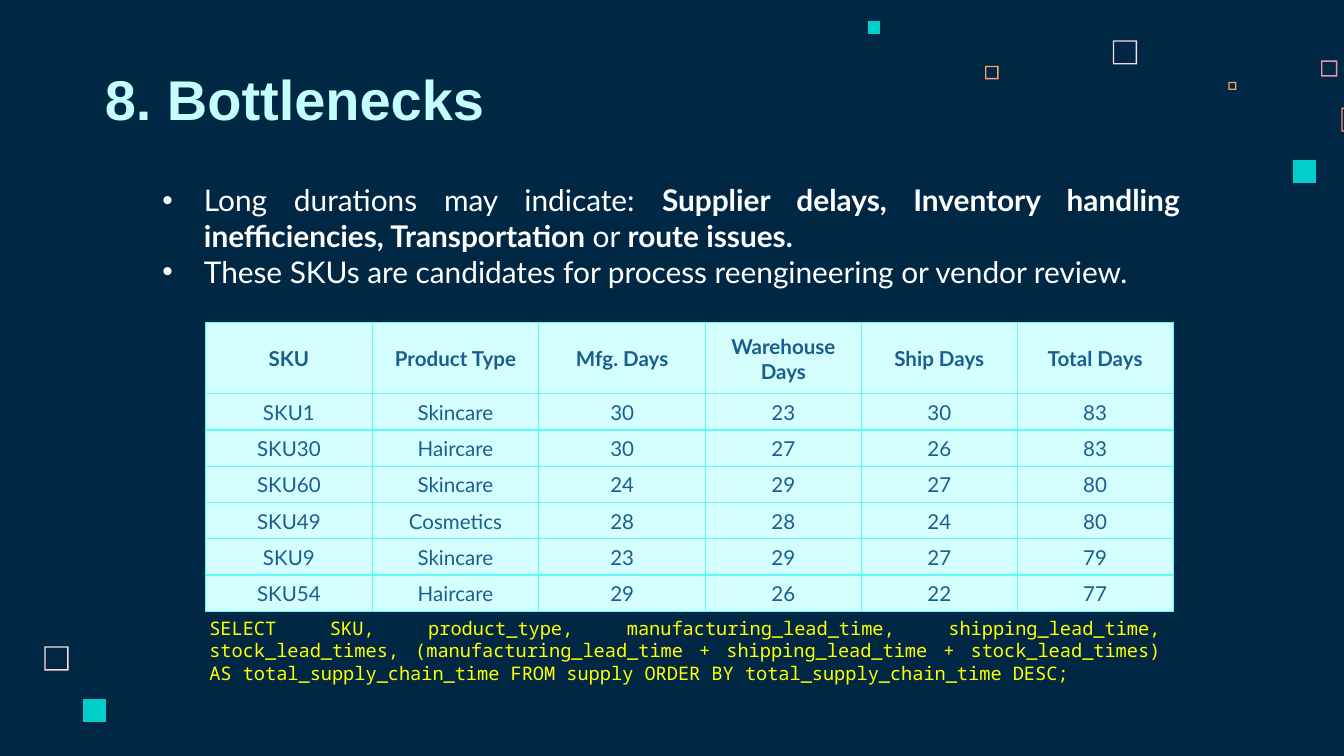
from lxml import etree
from pptx import Presentation
from pptx import util as u
from pptx.dml.color import RGBColor
from pptx.enum import text
from pptx.oxml import ns

COLORS = {
    "background": "002845", "title": "C2FFFE", "body": "FFFFFF", "code": "FFFF00",
    "cell": "D5FFFE", "cell_text": "1A5E8F", "border": "58FDFB",
    "pink": "FFD6E1", "rose": "E898AC", "orange": "FF9973", "teal": "00CFCC",
}


def color(name):
    return RGBColor.from_string(COLORS[name])


def element(parent, tag, **attributes):
    return etree.SubElement(parent, ns.qn(tag), **attributes)


class Deck:
    body_font = "Lato"
    title_font = "Arial"
    code_font = "Noto Sans Mono"

    def __init__(self, width, height):
        self.prs = Presentation()
        self.prs.slide_width = u.Inches(width)
        self.prs.slide_height = u.Inches(height)
        self.slide = self.prs.slides.add_slide(self.prs.slide_layouts[5])
        fill = self.slide.background.fill
        fill.solid()
        fill.fore_color.rgb = color("background")

    def run(self, paragraph, words, font, size, tint, bold=False):
        run = paragraph.add_run()
        run.text = words
        run.font.name = font
        run.font.size = u.Pt(size)
        run.font.bold = bold
        run.font.color.rgb = color(tint)

    def square(self, left, top, side, tint, border=0):
        right, bottom = left + side, top + side
        outline = self.slide.shapes.build_freeform(u.Inches(left), u.Inches(top))
        corners = [(right, top), (right, bottom), (left, bottom)]
        outline.add_line_segments([(u.Inches(x), u.Inches(y)) for x, y in corners])
        if border:
            near_x, near_y = left + border, top + border
            far_x, far_y = right - border, bottom - border
            outline.move_to(u.Inches(near_x), u.Inches(near_y))
            corners = [(near_x, far_y), (far_x, far_y), (far_x, near_y)]
            outline.add_line_segments([(u.Inches(x), u.Inches(y)) for x, y in corners])
        shape = outline.convert_to_shape()
        shape.shadow.inherit = False
        shape.fill.solid()
        shape.fill.fore_color.rgb = color(tint)
        shape.line.fill.background()

    def title(self, words, left, top, width, height):
        heading = self.slide.shapes.title
        heading.left, heading.top = u.Inches(left), u.Inches(top)
        heading.width, heading.height = u.Inches(width), u.Inches(height)
        frame = heading.text_frame
        frame.auto_size = text.MSO_AUTO_SIZE.NONE
        frame.vertical_anchor = text.MSO_ANCHOR.BOTTOM
        frame.margin_left = frame.margin_right = u.Inches(0.1)
        frame.margin_top = frame.margin_bottom = u.Inches(0.1)
        paragraph = frame.paragraphs[0]
        paragraph.alignment = text.PP_ALIGN.LEFT
        self.run(paragraph, words, self.title_font, 30, "title", True)

    def text_box(self, left, top, width, height, anchor):
        box = self.slide.shapes.add_textbox(
            u.Inches(left), u.Inches(top), u.Inches(width), u.Inches(height))
        frame = box.text_frame
        frame.word_wrap = True
        frame.auto_size = text.MSO_AUTO_SIZE.SHAPE_TO_FIT_TEXT
        frame.vertical_anchor = anchor
        return frame

    def bullets(self, points, left, top, width, height):
        frame = self.text_box(left, top, width, height, text.MSO_ANCHOR.MIDDLE)
        for index, pieces in enumerate(points):
            paragraph = frame.add_paragraph() if index else frame.paragraphs[0]
            paragraph.alignment = text.PP_ALIGN.JUSTIFY
            properties = paragraph._p.get_or_add_pPr()
            indent = u.Inches(0.31)
            properties.set("marL", str(indent))
            properties.set("indent", str(-indent))
            tint = element(properties, "a:buClr")
            element(tint, "a:srgbClr", val=COLORS["body"])
            element(properties, "a:buFont", typeface="Arial")
            element(properties, "a:buChar", char="•")
            for words, bold in pieces:
                self.run(paragraph, words, self.body_font, 16, "body", bold)

    def code(self, words, left, top, width, height):
        frame = self.text_box(left, top, width, height, text.MSO_ANCHOR.TOP)
        paragraph = frame.paragraphs[0]
        paragraph.alignment = text.PP_ALIGN.JUSTIFY
        self.run(paragraph, words, self.code_font, 10, "code")

    def cell(self, cell, words, bold):
        cell.vertical_anchor = text.MSO_ANCHOR.MIDDLE
        cell.margin_left = cell.margin_right = cell.margin_top = u.Inches(0.01)
        cell.margin_bottom = 0
        paragraph = cell.text_frame.paragraphs[0]
        paragraph.alignment = text.PP_ALIGN.CENTER
        self.run(paragraph, words, self.body_font, 11, "cell_text", bold)
        properties = cell._tc.get_or_add_tcPr()
        for side in ("a:lnL", "a:lnR", "a:lnT", "a:lnB"):
            border = element(properties, side, w=str(u.Pt(0.75)))
            fill = element(border, "a:solidFill")
            element(fill, "a:srgbClr", val=COLORS["border"])
        cell.fill.solid()
        cell.fill.fore_color.rgb = color("cell")

    def table(self, records, left, top, widths, heights):
        table = self.slide.shapes.add_table(
            len(records), len(widths), u.Inches(left), u.Inches(top),
            u.Inches(sum(widths)), u.Inches(sum(heights))).table
        for column, width in zip(table.columns, widths):
            column.width = u.Inches(width)
        for index, (row, height, record) in enumerate(zip(table.rows, heights, records)):
            row.height = u.Inches(height)
            for cell, value in zip(row.cells, record):
                self.cell(cell, str(value), bold=index == 0)


def main():
    deck = Deck(10, 5.625)

    for square in [
        (8.28, 0.3, 0.18, "pink", 0.01),
        (9.83, 0.45, 0.12, "rose", 0.01),
        (9.14, 0.61, 0.06, "orange", 0.01),
        (9.98, 0.8, 0.18, "orange", 0.01),
        (9.62, 1.19, 0.17, "teal"),
        (7.33, 0.49, 0.1, "orange", 0.01),
        (6.46, 0.16, 0.09, "teal"),
        (0.33, 4.81, 0.18, "pink", 0.01),
        (0.62, 5.2, 0.17, "teal"),
    ]:
        deck.square(*square)

    deck.title("8. Bottlenecks", 0.68, 0.45, 6.51, 0.63)
    deck.bullets([
        [("Long durations may indicate: ", False),
         ("Supplier delays, Inventory handling inefficiencies, Transportation ", True),
         ("or", False),
         (" route issues.", True)],
        [("These SKUs are candidates for process reengineering or vendor review.", False)],
    ], 1.11, 1.3, 7.77, 0.91)

    lead_times = [
        ("SKU", "Product Type", "Mfg. Days", "Warehouse Days", "Ship Days", "Total Days"),
        ("SKU1", "Skincare", 30, 23, 30, 83),
        ("SKU30", "Haircare", 30, 27, 26, 83),
        ("SKU60", "Skincare", 24, 29, 27, 80),
        ("SKU49", "Cosmetics", 28, 28, 24, 80),
        ("SKU9", "Skincare", 23, 29, 27, 79),
        ("SKU54", "Haircare", 29, 26, 22, 77),
    ]
    deck.table(lead_times, 1.53, 2.4, [1.24] * 3 + [1.16] * 3, [0.53] + [0.27] * 6)

    deck.code(
        "SELECT SKU, product_type, manufacturing_lead_time, shipping_lead_time, "
        "stock_lead_times, (manufacturing_lead_time + shipping_lead_time + "
        "stock_lead_times) AS total_supply_chain_time FROM supply "
        "ORDER BY total_supply_chain_time DESC;", 1.46, 4.54, 7.27, 0.61)

    deck.prs.save("out.pptx")


if __name__ == "__main__":
    main()
